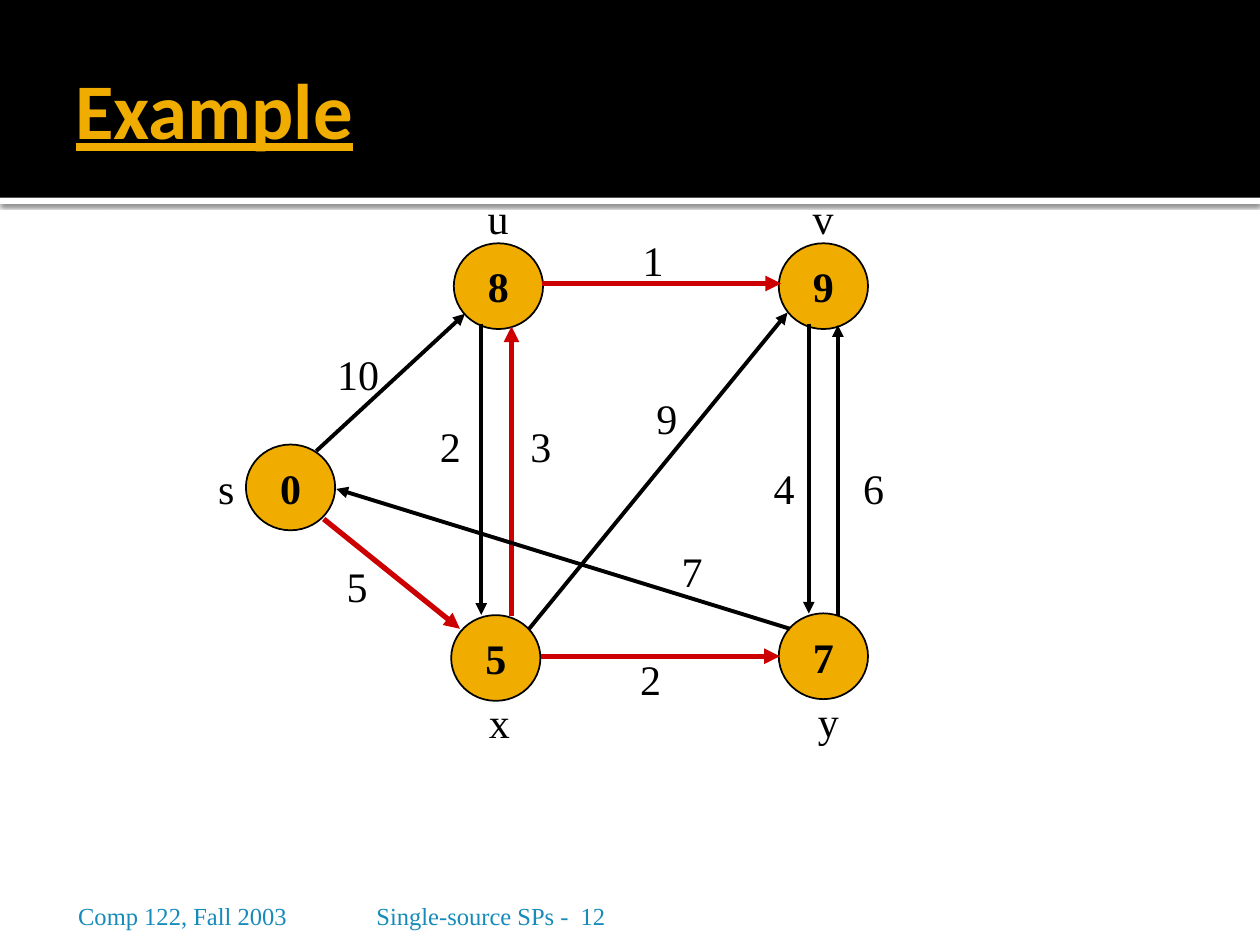
import pptx
import pptx.util
import pptx.dml.color
import pptx.enum.shapes
import pptx.enum.text
import pptx.oxml
import pptx.oxml.ns
import lxml.etree

Pt = pptx.util.Pt
Shape = pptx.enum.shapes.MSO_SHAPE
Anchor = pptx.enum.text.MSO_ANCHOR
Align = pptx.enum.text.PP_ALIGN
qn = pptx.oxml.ns.qn

GOLD, RED, BLACK, WHITE, BLUE = "F0AD00", "CC0000", "000000", "FFFFFF", "168BBA"
SERIF, SANS = "Times New Roman", "Calibri"
SHADOW = (
    f'<a:effectLst {pptx.oxml.ns.nsdecls("a")}>'
    '<a:outerShdw blurRad="31750" dist="10160" dir="5400000" algn="t" rotWithShape="0">'
    '<a:srgbClr val="000000"><a:alpha val="60000"/></a:srgbClr>'
    '</a:outerShdw></a:effectLst>'
)

# node name: value, centre, centre of its name
NODES = {
    "s": ("0", (166, 278.5), (130.7, 278.5)),
    "y": ("7", (470.5, 375), (473.4, 411.8)),
    "x": ("5", (283.3, 376), (285.5, 412.6)),
    "v": ("9", (470.5, 163.5), (470.5, 124.6)),
    "u": ("8", (284.8, 163.5), (284.8, 124.6)),
}

# start, end, weight, centre of the weight, on the shortest path tree
EDGES = [
    ((180.7, 257.8), (265.7, 179.3), "10", (204.8, 213.8), False),
    ((185, 296.6), (262.8, 359.3), "5", (204.1, 334.8), True),
    ((275, 185), (275, 351.4), "2", (257.4, 255), False),
    ((292.3, 352), (292.3, 186.5), "3", (309.2, 255), True),
    ((462.2, 185), (462.2, 350.6), "4", (448.2, 278.5), False),
    ((478.8, 352), (478.8, 185.8), "6", (499.3, 278.5), False),
    ((308.9, 375), (445.7, 375), "2", (371.9, 388), True),
    ((309.6, 162), (446.4, 162), "1", (373.3, 148.3), True),
    ((302.4, 359.3), (450, 178.6), "9", (381.2, 239), False),
    ((451.4, 359.3), (192.2, 279.4), "7", (395.6, 326.2), False),
]


def color(code):
    return pptx.dml.color.RGBColor.from_string(code)


class Board:
    """The current slide and the style of its parts."""

    node_w, node_h = 51, 49
    label_h = 36

    def __init__(self, slide):
        self.slide = slide
        self.shapes = slide.shapes

    def fill_text(self, frame, text, size, code, font=SERIF, bold=False):
        frame.text = text
        para = frame.paragraphs[0]
        para.font.size = Pt(size)
        para.font.name = font
        para.font.bold = bold
        para.font.color.rgb = color(code)
        return para

    def inset(self, frame, left, top, right, bottom):
        frame.margin_left, frame.margin_top = Pt(left), Pt(top)
        frame.margin_right, frame.margin_bottom = Pt(right), Pt(bottom)

    def band(self, top, height, code, shadow=False):
        band = self.shapes.add_shape(Shape.RECTANGLE, 0, Pt(top), Pt(720), Pt(height))
        band.fill.solid()
        band.fill.fore_color.rgb = color(code)
        band.line.fill.background()
        if shadow:
            band._element.spPr.append(pptx.oxml.parse_xml(SHADOW))
        else:
            band.shadow.inherit = False

    def title(self, text):
        title = self.shapes.title
        title.left, title.top, title.width, title.height = Pt(36), Pt(12), Pt(648), Pt(99)
        frame = title.text_frame
        frame.vertical_anchor = Anchor.MIDDLE
        self.inset(frame, 7.2, 3.6, 3.6, 3.6)
        para = self.fill_text(frame, text, 45, GOLD, SANS, True)
        para.alignment = Align.LEFT
        para.font.underline = True
        self.shapes._spTree.append(title._element)  # in front of the bands

    def footer(self, text, left, width, pad):
        box = self.shapes.add_textbox(Pt(left), Pt(510), Pt(width), Pt(21.6))
        frame = box.text_frame
        frame.word_wrap = True
        frame.vertical_anchor = Anchor.BOTTOM
        self.inset(frame, pad, 3.6, 3.6, 0)
        self.fill_text(frame, text, 14, BLUE)

    def node(self, text, center):
        x, y = center
        node = self.shapes.add_shape(
            Shape.OVAL, Pt(x - self.node_w / 2), Pt(y - self.node_h / 2),
            Pt(self.node_w), Pt(self.node_h))
        node.shadow.inherit = False
        node.fill.solid()
        node.fill.fore_color.rgb = color(GOLD)
        node.line.color.rgb = color(BLACK)
        node.line.width = Pt(1)
        frame = node.text_frame
        frame.word_wrap = False
        frame.vertical_anchor = Anchor.MIDDLE
        self.fill_text(frame, text, 24, BLACK, bold=True).alignment = Align.CENTER

    def arrow(self, start, end, code, width):
        line = self.shapes.add_connector(
            pptx.enum.shapes.MSO_CONNECTOR.STRAIGHT, *map(Pt, start + end))
        line.line.color.rgb = color(code)
        line.line.width = Pt(width)
        props = line._element.spPr
        lxml.etree.SubElement(props.find(qn("a:ln")), qn("a:tailEnd"), type="triangle")
        lxml.etree.SubElement(props, qn("a:effectLst"))

    def label(self, text, center):
        x, y = center
        width = 14.4 + 12 * len(text)
        box = self.shapes.add_textbox(
            Pt(x - width / 2), Pt(y - self.label_h / 2), Pt(width), Pt(self.label_h))
        frame = box.text_frame
        frame.word_wrap = False
        frame.auto_size = pptx.enum.text.MSO_AUTO_SIZE.SHAPE_TO_FIT_TEXT
        self.fill_text(frame, text, 24, BLACK)


def main():
    deck = pptx.Presentation()
    deck.slide_width, deck.slide_height = Pt(720), Pt(540)
    board = Board(deck.slides.add_slide(deck.slide_layouts[5]))

    board.band(113, 3.6, WHITE, shadow=True)
    board.band(0, 113, BLACK)
    board.footer("Comp 122, Fall 2003", 36, 168, 8.64)
    board.footer(" Single-source SPs -  12", 208, 433.5, 3.6)
    board.title("Example")

    for value, center, _ in NODES.values():
        board.node(value, center)
    for start, end, _, _, tree in EDGES:
        board.arrow(start, end, RED if tree else BLACK, 3 if tree else 2.25)
    for name, (_, _, spot) in NODES.items():
        board.label(name, spot)
    for _, _, weight, spot, _ in EDGES:
        board.label(weight, spot)

    deck.save("out.pptx")


if __name__ == "__main__":
    main()
